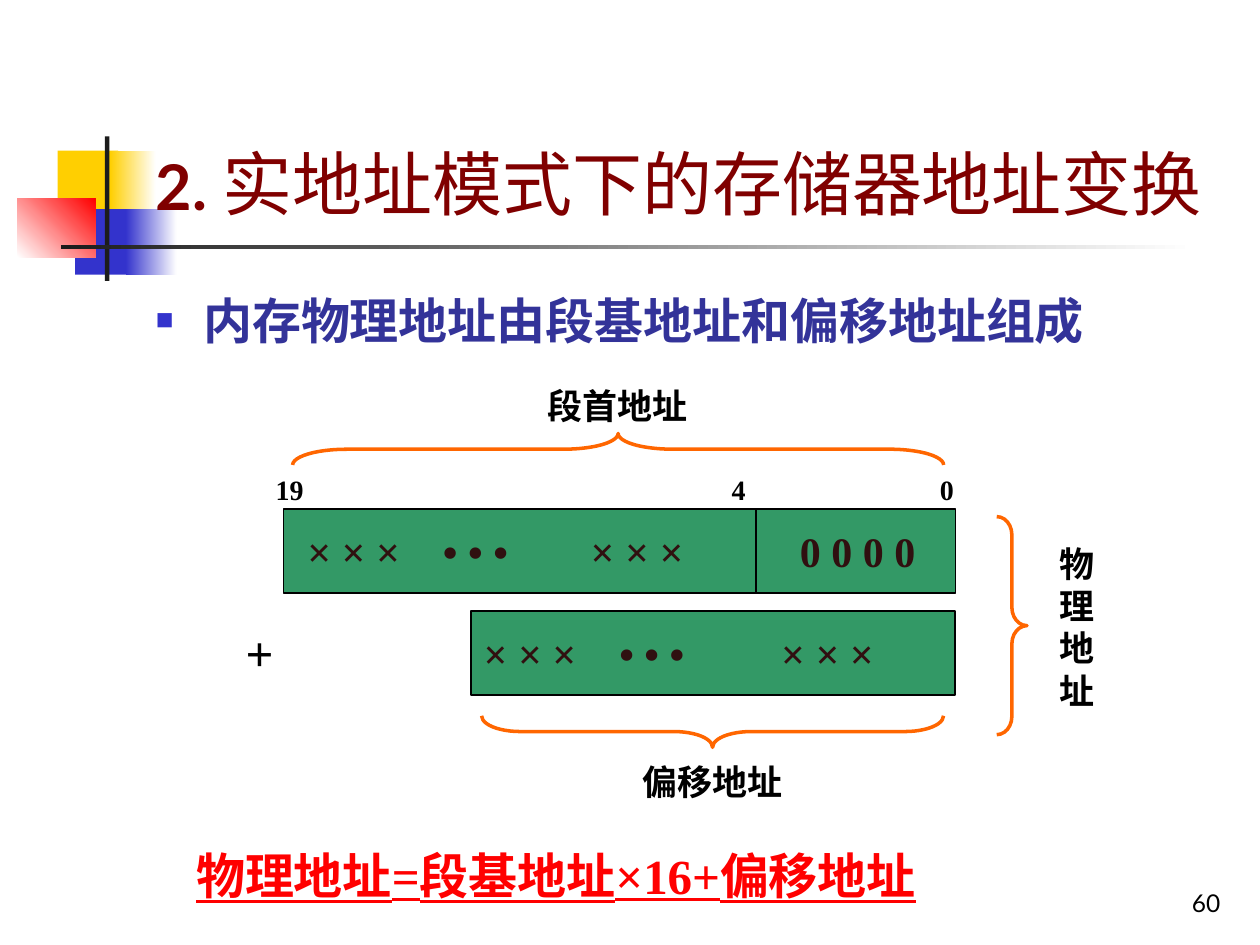
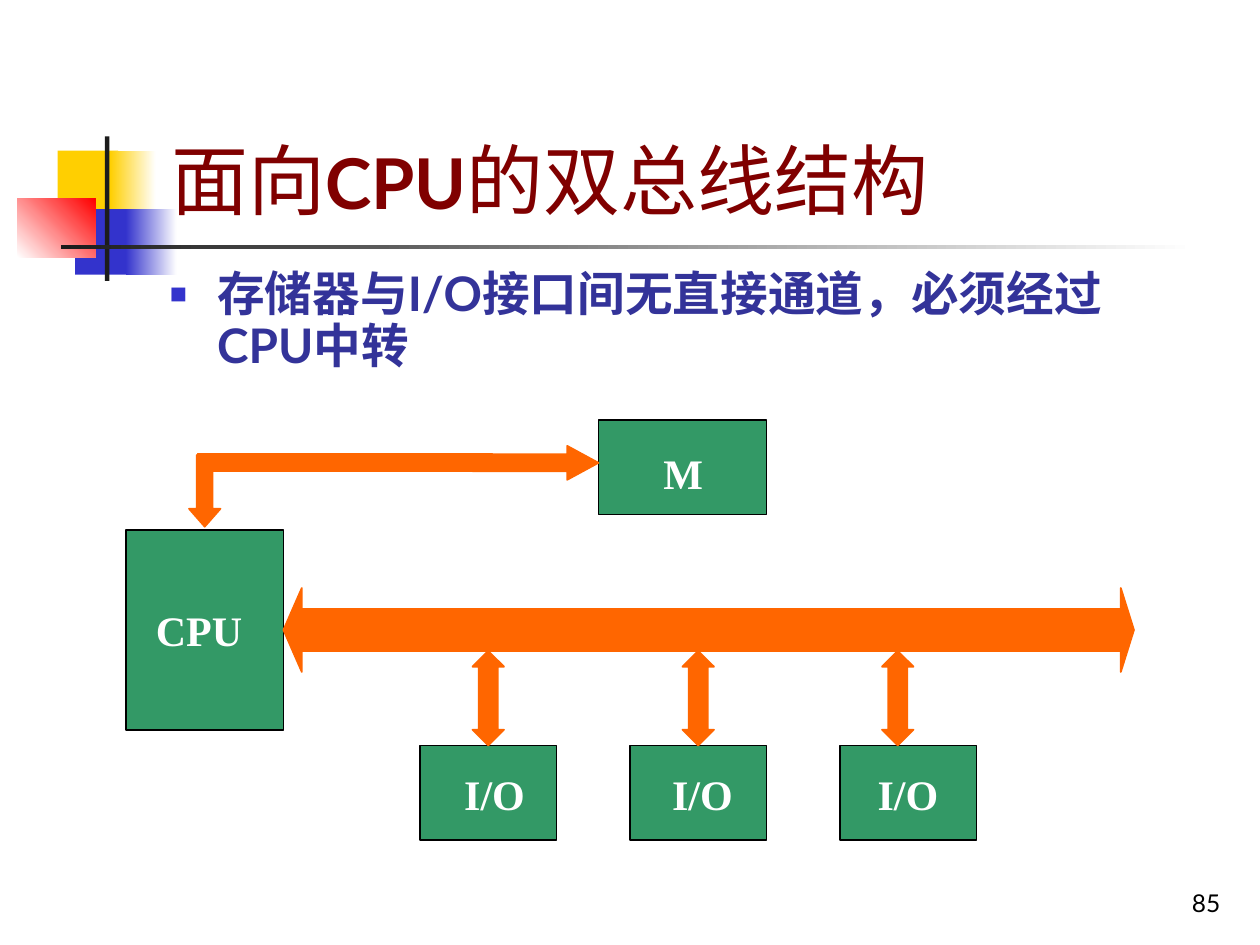
"""Builds two lecture slides on memory addressing and bus structure."""
import pptx
import pptx.dml.color
import pptx.enum.shapes
import pptx.enum.text
import pptx.oxml
import pptx.oxml.ns
import pptx.util
from lxml import etree

Pt = pptx.util.Pt
KIND = pptx.enum.shapes.MSO_SHAPE
ALIGN = pptx.enum.text.PP_ALIGN
EDGE = pptx.enum.text.MSO_ANCHOR
SERIF, SANS, HAN = "Times New Roman", "Lato", "Noto Sans CJK SC"
BLACK, WHITE, DARK = "000000", "FFFFFF", "1C1C1C"
GOLD, BLUE, RED = "FFCF01", "3333CC", "FF0000"
GREEN, FLAME, INK = "339966", "FF6600", "301010"
MAROON, NAVY = "800000", "333399"


def hue(code):
    return pptx.dml.color.RGBColor.from_string(code)


def tag(parent, name, **attrs):
    node = etree.SubElement(parent, pptx.oxml.ns.qn(name))
    for key, value in attrs.items():
        node.set(key, value)
    return node


def shape(slide, kind, box, fill, line=None, adj=()):
    item = slide.shapes.add_shape(kind, *map(Pt, box))
    item.shadow.inherit = False
    for spot, value in enumerate(adj):
        item.adjustments[spot] = value
    if fill:
        item.fill.solid()
        item.fill.fore_color.rgb = hue(fill)
    else:
        item.fill.background()
    if line:
        item.line.color.rgb = hue(line)
        item.line.width = Pt(1)
    else:
        item.line.fill.background()
    return item


def fade(slide, box, start, end, angle=0):
    item = shape(slide, KIND.RECTANGLE, box, start)
    item.fill.gradient()
    item.fill.gradient_angle = angle
    for stop, code in zip(item.fill.gradient_stops, (start, end)):
        stop.color.rgb = hue(code)


def block(slide, box):
    return shape(slide, KIND.RECTANGLE, box, GREEN, BLACK)


def arrow(slide, kind, box, *adj):
    return shape(slide, kind, box, FLAME, FLAME, adj)


def brace(slide, mid, size, turn):
    long, wide = size
    box = (mid[0] - wide / 2, mid[1] - long / 2, wide, long)
    item = shape(slide, KIND.LEFT_BRACE, box, None, FLAME, (long / wide / 12, 0.5))
    item.line.width = Pt(2)
    item.rotation = turn


def write(para, text, size, color, font=SERIF, bold=True, under=False):
    run = para.add_run()
    run.text = text
    face = run.font
    face.size, face.bold, face.underline = Pt(size), bold, under
    face.color.rgb = hue(color)
    face.name = font
    tag(run._r.get_or_add_rPr(), "a:ea", typeface=HAN)


def frame(slide, box, anchor=EDGE.TOP):
    area = slide.shapes.add_textbox(*map(Pt, box)).text_frame
    area.word_wrap = True
    area.vertical_anchor = anchor
    return area.paragraphs[0]


def label(slide, box, text, size, color=BLACK, indent=0, stop=0, under=False):
    para = frame(slide, box)
    props = para._p.get_or_add_pPr()
    if indent:
        props.set("marL", str(Pt(indent)))
    if stop:
        tag(tag(props, "a:tabLst"), "a:tab", pos=str(Pt(stop)), algn="l")
    write(para, text, size, color, under=under)


def motif(slide, x, y):
    shape(slide, KIND.RECTANGLE, (x + 23, y + 8.5, 34.5, 37.5), GOLD)
    fade(slide, (x + 53, y + 8.5, 26, 37.5), GOLD, WHITE)
    shape(slide, KIND.RECTANGLE, (x + 33, y + 42, 33, 37.5), BLUE)
    fade(slide, (x + 62, y + 42, 29, 37.5), BLUE, WHITE)
    fade(slide, (x, y + 36, 44.5, 33.5), WHITE, RED, 45)
    shape(slide, KIND.RECTANGLE, (x + 50, y + 0.5, 2.5, 82.5), DARK)
    fade(slide, (x + 25, y + 62.3, 648, 2.5), DARK, WHITE)


def page(deck, box, title, number):
    slide = deck.slides.add_slide(deck.slide_layouts[6])
    motif(slide, 10, 77.5)
    para = frame(slide, (554.4, 491.8, 150, 36), EDGE.BOTTOM)
    para.alignment = ALIGN.RIGHT
    write(para, number, 14, BLACK, SANS, False)
    para = frame(slide, box, EDGE.BOTTOM)
    for text, size, font, bold in title:
        write(para, text, size, MAROON, font, bold)
    return slide


def point(slide, box, parts, size, space):
    para = frame(slide, box)
    props = para._p.get_or_add_pPr()
    props.set("marL", str(Pt(27)))
    props.set("indent", str(-Pt(27)))
    tag(tag(props, "a:buClr"), "a:srgbClr", val=BLUE)
    tag(props, "a:buSzPct", val="60000")
    tag(props, "a:buFont", typeface=SERIF)
    tag(props, "a:buChar", char="■")
    para.line_spacing = space
    for text in parts:
        write(para, text, size, NAVY, SANS)


def strip(slide, box, first, last):
    x, y = box[:2]
    block(slide, box)
    label(slide, (x + first, y + 6, 168, 36), "× × ×\t• • •", 24, INK, stop=77.5)
    label(slide, (x + last, y + 6, 108, 36), "× × ×", 24, INK)


def sums(slide, x, y):
    strip(slide, (x + 30, y + 75, 384, 48), 6.5, 168.5)
    rule = slide.shapes.add_connector(
        pptx.enum.shapes.MSO_CONNECTOR.STRAIGHT,
        *map(Pt, (x + 300, y + 75, x + 300, y + 123)))
    rule.line.color.rgb = hue(BLACK)
    rule.line.width = Pt(1)
    tag(rule._element.spPr, "a:effectLst")
    label(slide, (x + 318, y + 81, 90, 36), "0 0 0 0", 24, INK)
    strip(slide, (x + 137.3, y + 133.2, 276.5, 48), 0, 170)
    for bit, left in (("19", 18.5), ("4", 279), ("0", 398)):
        label(slide, (x + left, y + 50.4, 45, 27), bit, 16)
    brace(slide, (x + 221.2, y + 40.7), (372, 18), 90)
    brace(slide, (x + 275.2, y + 202), (264, 18), 270)
    brace(slide, (x + 446.2, y + 141.5), (124.6, 17.3), 180)
    label(slide, (x + 174, y, 114, 32), "段首地址", 20)
    label(slide, (x + 228, y + 215.3, 114, 32), "偏移地址", 20)
    label(slide, (x + 466.3, y + 90.7, 45, 104), "物理地址", 20)
    label(slide, (x + 1.2, y + 136, 40, 41), "+", 28)


def buses(slide, x, y):
    block(slide, (x, y + 63, 90, 114))
    block(slide, (x + 270, y, 96, 54))
    arrow(slide, KIND.RECTANGLE, (x + 126, y + 108, 420, 24))
    arrow(slide, KIND.LEFT_ARROW, (x + 90, y + 96, 42, 48), 0.5, 0.25)
    arrow(slide, KIND.RIGHT_ARROW, (x + 546, y + 96, 30, 48), 0.5, 0.25)
    ports = ((198, 174.2), (318, 293), (432, 410.4))
    for spot, (link, left) in enumerate(ports):
        block(slide, (x + 168 + 120 * spot, y + 186, 78, 54))
        arrow(slide, KIND.UP_DOWN_ARROW, (x + link, y + 132, 18, 54), 0.5, 0.6)
        label(slide, (x + left, y + 195.6, 66, 36), "I/O", 24, WHITE, 12)
    label(slide, (x + 10, y + 102, 66, 36), "CPU", 24, WHITE)
    label(slide, (x + 288, y + 12, 66, 36), "M", 24, WHITE, 12)
    arrow(slide, KIND.DOWN_ARROW, (x + 36, y + 20, 18, 41), 0.5, 0.57)
    arrow(slide, KIND.RIGHT_ARROW, (x + 198, y + 14.8, 72, 19.4), 0.5, 0.92)
    arrow(slide, KIND.RECTANGLE, (x + 41, y + 19.2, 168, 10))


def main():
    deck = pptx.Presentation()
    deck.slide_width, deck.slide_height = Pt(720), Pt(540)

    title = (("2. ", 36, SANS, True),
             ("实地址模式下的存储器地址变换", 40, SANS, False))
    slide = page(deck, (82, 49, 629.3, 82.8), title, "60")
    point(slide, (82, 159, 567.4, 51), ("内存物理地址由段基地址和偏移地址组成",), 28, 1.1)
    sums(slide, 132, 216)
    label(slide, (105, 479.5, 471, 41), "物理地址=段基地址×16+偏移地址", 28, RED, under=True)

    title = (("面向", 44, HAN, False), ("CPU", 40, SANS, True),
             ("的双总线结构", 44, HAN, False))
    slide = page(deck, (90.7, 16.6, 613.4, 115.2), title, "85")
    point(slide, (90, 151.2, 570.2, 69),
          ("存储器与", "I/O", "接口间无直接通道，必须经过", "CPU", "中转"), 27.2, 0.9)
    buses(slide, 72, 240)
    deck.save("out.pptx")


if __name__ == "__main__":
    main()
